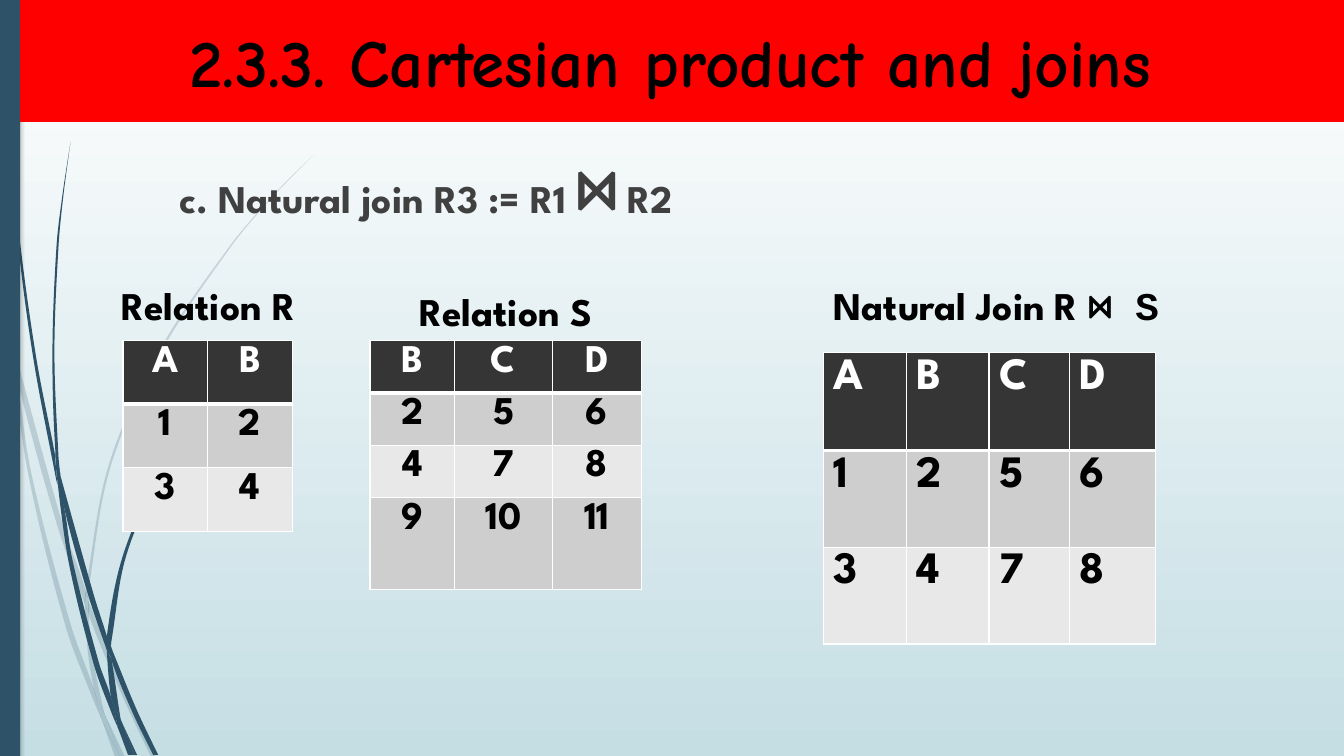
from math import dist
from lxml.etree import SubElement
from pptx import Presentation
from pptx.dml.color import RGBColor
from pptx.enum.shapes import MSO_SHAPE as Preset
from pptx.enum.text import MSO_ANCHOR as Anchor, MSO_AUTO_SIZE as AutoSize, PP_ALIGN as Align
from pptx.oxml.ns import qn
from pptx.util import Inches, Pt

COLORS = {"teal": "2E5369", "red": "FF0000", "black": "000000", "white": "FFFFFF",
          "gray": "404040", "header": "353535", "odd": "CECECE", "even": "E8E8E8",
          "sky": "C5DEE4"}
SANS, MONO, COMIC = "League Spartan", "Courier New", "Comic Neue"

TITLE = "2.3.3. Cartesian product and joins "
JOIN_LINE = [("c. Natural join R3 := R1 ", SANS, 28), ("⋈", MONO, 48), (" R2", SANS, 28)]
CAPTIONS = [
    ((1.04, 2.74, 2.05, 0.57), Align.CENTER, False, [("Relation R", SANS, 28)]),
    ((3.67, 2.8, 2.69, 0.57), Align.CENTER, True, [("Relation S", SANS, 28)]),
    ((8.17, 2.74, 3.71, 0.57), Align.LEFT, False,
     [("Natural Join R ", SANS, 28), ("⋈ S", MONO, 28)]),
]
RELATIONS = [
    {"at": (1.22, 3.38), "columns": [0.84, 0.84], "heights": [0.63] * 3, "margins": (0.04, 0.01),
     "size": 28, "align": Align.CENTER, "rows": ["A B", "1 2", "3 4"]},
    {"at": (3.67, 3.38), "columns": [0.84, 0.97, 0.88], "heights": [0.52] * 3 + [0.91],
     "margins": (0.04, 0.01), "size": 28, "align": Align.CENTER,
     "rows": ["B C D", "2 5 6", "4 7 8", "9 10 11"]},
    {"at": (8.17, 3.5), "columns": [0.82, 0.82, 0.8, 0.85], "heights": [0.97, 0.96, 0.96],
     "margins": (0.05, 0.05), "size": 32, "align": Align.LEFT,
     "rows": ["A B C D", "1 2 5 6", "3 4 7 8"]},
]
PALE_STALKS = [
    "0.11,3.5 0.08,3.22 0,2.82 0,2.99 0.1,3.44",
    "0.57,5.22 0.84,5.99 0.85,5.86 0.62,5.2 0.14,3.45 0.17,3.76",
    "0.92,6.07 0.88,5.96 0.88,6.1 1.23,6.94 1.5,7.51 1.55,7.51 1.27,6.91",
    "1.19,7.51 1.24,7.51 1.05,7.11",
    "0.93,6.83 0.7,6.19 0.31,4.69 0.17,3.76 0.11,3.5 0.28,4.7 0.65,6.21 0.92,6.93 "
    "1.01,7.14 0.99,7.07",
    "0.84,5.99 0.87,6.46 0.93,6.83 0.96,6.92 1.05,7.11 1.03,7.06 0.91,6.46 0.88,6.1 "
    "0.88,6.08",
    "0.88,5.84 1.1,4.62 1.6,3.49 2.29,2.45 2.68,1.98 2.9,1.75 3.12,1.53 2.89,1.75 "
    "2.68,1.97 2.28,2.44 1.58,3.48 1.08,4.61 0.85,5.84 0.85,5.86 0.88,5.96",
    "1.01,7.14 1.14,7.51 1.19,7.51",
    "0.88,6.08 0.88,6.1 0.88,5.96 0.85,5.86 0.84,5.99",
    "0.96,6.92 0.93,6.83 0.99,7.07 1.01,7.14 1.19,7.51 1.05,7.11",
]
DARK_STALKS = [
    "0.07,1.1 0.17,2.33 0.33,3.55 0.56,4.77 0.57,4.81 0.55,4.57 0.55,4.53 0.36,3.55 "
    "0.19,2.32 0.08,1.09 0.05,0.48 0.04,0 0.03,0 0.04,0.48",
    "0.88,5.92 1.06,6.45 1.06,6.33 1.06,6.31 0.93,5.9 0.6,4.72 0.64,5.05",
    "1.13,6.49 1.1,6.41 1.11,6.56 1.32,7.08 1.52,7.49 1.57,7.49 1.36,7.05",
    "1.1,6.91 0.98,6.57 0.72,5.56 0.64,5.05 0.57,4.77 0.68,5.57 0.93,6.59 1.11,7.08 "
    "1.17,7.22 1.16,7.17",
    "0.6,4.72 0.58,4.53 0.54,3.49 0.58,2.45 0.63,1.93 0.7,1.41 0.62,1.93 0.56,2.45 "
    "0.52,3.49 0.55,4.49 0.6,4.71",
    "1.33,7.49 1.36,7.49 1.22,7.19",
    "0.57,4.77 0.64,5.05 0.6,4.72 0.55,4.49 0.55,4.53",
    "1.11,6.33 1.25,5.52 1.58,4.76 2.05,4.06 2.31,3.74 2.45,3.59 2.61,3.44 2.6,3.44 "
    "2.45,3.58 2.31,3.73 2.04,4.05 1.56,4.74 1.22,5.51 1.06,6.31 1.1,6.41",
    "1.17,7.22 1.27,7.49 1.31,7.49",
    "1.06,6.45 1.1,6.91 1.16,7.06 1.22,7.19 1.2,7.15 1.11,6.56 1.09,6.51",
    "1.06,6.45 1.09,6.5 1.11,6.56 1.1,6.41 1.06,6.31 1.06,6.33",
    "1.16,7.06 1.1,6.91 1.16,7.17 1.17,7.22 1.3,7.49 1.33,7.49 1.22,7.19",
]


def color(name):
    return RGBColor.from_string(COLORS[name])


def paint(shape, name):
    shape.fill.solid()
    shape.fill.fore_color.rgb = color(name)
    shape.line.fill.background()
    shape.shadow.inherit = False


def place(shape, *box):
    shape.left, shape.top, shape.width, shape.height = map(Inches, box)


def write(para, spans, ink, align=Align.LEFT):
    para.alignment = align
    for text, face, size in spans:
        span = para.add_run()
        span.text = text
        span.font.name, span.font.size, span.font.bold = face, Pt(size), True
        span.font.color.rgb = color(ink)


def tangent(before, here, after):
    arrive, leave = dist(before, here), dist(here, after)
    turn = sum((h - b) * (a - h) for b, h, a in zip(before, here, after))
    if turn < 0.7 * arrive * leave:
        return 0, 0
    span = dist(before, after)
    return tuple((a - b) / span for b, a in zip(before, after))


def curve_edges(stalk, points):
    count = len(points)
    slopes = [tangent(points[i - 1], points[i], points[(i + 1) % count]) for i in range(count)]
    outline = next(stalk.element.iter(qn("a:path")))
    for edge in outline.findall(qn("a:lnTo")):
        outline.remove(edge)
    for i in range(count):
        j = (i + 1) % count
        reach = dist(points[i], points[j]) / 3
        controls = [[p + reach * s for p, s in zip(points[i], slopes[i])],
                    [p - reach * s for p, s in zip(points[j], slopes[j])], points[j]]
        curve = SubElement(outline, qn("a:cubicBezTo"))
        for x, y in controls:
            SubElement(curve, qn("a:pt"), x=str(round(x - stalk.left)), y=str(round(y - stalk.top)))
    outline.append(outline.find(qn("a:close")))


def add_stalk(slide, anchors, opacity):
    points = [tuple(Inches(float(n)) for n in pair.split(",")) for pair in anchors.split()]
    builder = slide.shapes.build_freeform(*points[0])
    builder.add_line_segments(points[1:], close=True)
    stalk = builder.convert_to_shape()
    curve_edges(stalk, points)
    paint(stalk, "teal")
    if opacity < 100:
        tint = stalk.element.spPr.find(qn("a:solidFill"))[0]
        SubElement(tint, qn("a:alpha"), val=str(opacity * 1000))


def add_sidebar(slide):
    bar = slide.shapes.add_shape(Preset.RECTANGLE, 0, 0, Inches(0.2), Inches(7.5))
    paint(bar, "teal")
    effects = bar.element.spPr.find(qn("a:effectLst"))
    shadow = SubElement(effects, qn("a:outerShdw"), blurRad=str(Pt(3)), dist=str(Pt(2)),
                        dir="5400000")
    tint = SubElement(shadow, qn("a:srgbClr"), val=COLORS["black"])
    SubElement(tint, qn("a:alpha"), val="25000")


def add_border(cell, side, points):
    edge = SubElement(cell._tc.get_or_add_tcPr(), qn("a:" + side), w=str(Pt(points)))
    SubElement(SubElement(edge, qn("a:solidFill")), qn("a:srgbClr"), val=COLORS["white"])


def add_relation(slide, relation):
    rows, columns, heights = relation["rows"], relation["columns"], relation["heights"]
    box = (*relation["at"], sum(columns), sum(heights))
    table = slide.shapes.add_table(len(rows), len(columns), *map(Inches, box)).table
    table.first_row = table.horz_banding = False
    for column, width in zip(table.columns, columns):
        column.width = Inches(width)
    for r, values in enumerate(rows):
        table.rows[r].height = Inches(heights[r])
        for c, value in enumerate(values.split()):
            cell = table.cell(r, c)
            cell.margin_top, cell.margin_bottom = map(Inches, relation["margins"])
            for side in ("lnL", "lnR", "lnT", "lnB"):
                thick = (r, side) in ((0, "lnB"), (1, "lnT"))
                add_border(cell, side, 3 if thick else 0.96)
            cell.fill.solid()
            cell.fill.fore_color.rgb = color("header" if r == 0 else "odd" if r % 2 else "even")
            write(cell.text_frame.paragraphs[0], [(value, SANS, relation["size"])],
                  "black" if r else "white", relation["align"])


def main():
    deck = Presentation()
    deck.slide_width, deck.slide_height = Inches(13.33), Inches(7.5)
    page = deck.slides.add_slide(deck.slide_layouts[1])
    title, body = page.placeholders
    backdrop = page.background.fill
    backdrop.gradient()
    backdrop.gradient_angle = 270
    for stop, name in zip(backdrop.gradient_stops, ("white", "sky")):
        stop.color.rgb = color(name)
    for stalks, opacity in ((PALE_STALKS, 20), (DARK_STALKS, 100)):
        for anchors in stalks:
            add_stalk(page, anchors, opacity)
    add_sidebar(page)

    page.shapes._spTree.append(body.element)
    place(body, 1.68, 1.4, 8.68, 0.65)
    body.text_frame.auto_size = AutoSize.NONE
    para = body.text_frame.paragraphs[0]
    write(para, JOIN_LINE, "gray")
    para.space_before = Pt(10)
    layout = para._p.get_or_add_pPr()
    layout.set("marL", str(Inches(0.25)))
    layout.set("indent", str(-Inches(0.25)))
    SubElement(layout, qn("a:buNone"))

    for box, align, wrap, spans in CAPTIONS:
        caption = page.shapes.add_textbox(*map(Inches, box))
        caption.text_frame.word_wrap = wrap
        write(caption.text_frame.paragraphs[0], spans, "black", align)
    for relation in RELATIONS:
        add_relation(page, relation)

    page.shapes._spTree.append(title.element)
    place(title, 0.2, 0, 13.13, 1.21)
    paint(title, "red")
    title.text_frame.auto_size = AutoSize.NONE
    title.text_frame.vertical_anchor = Anchor.MIDDLE
    write(title.text_frame.paragraphs[0], [(TITLE, COMIC, 48)], "black", Align.CENTER)
    deck.save("out.pptx")


if __name__ == "__main__":
    main()
